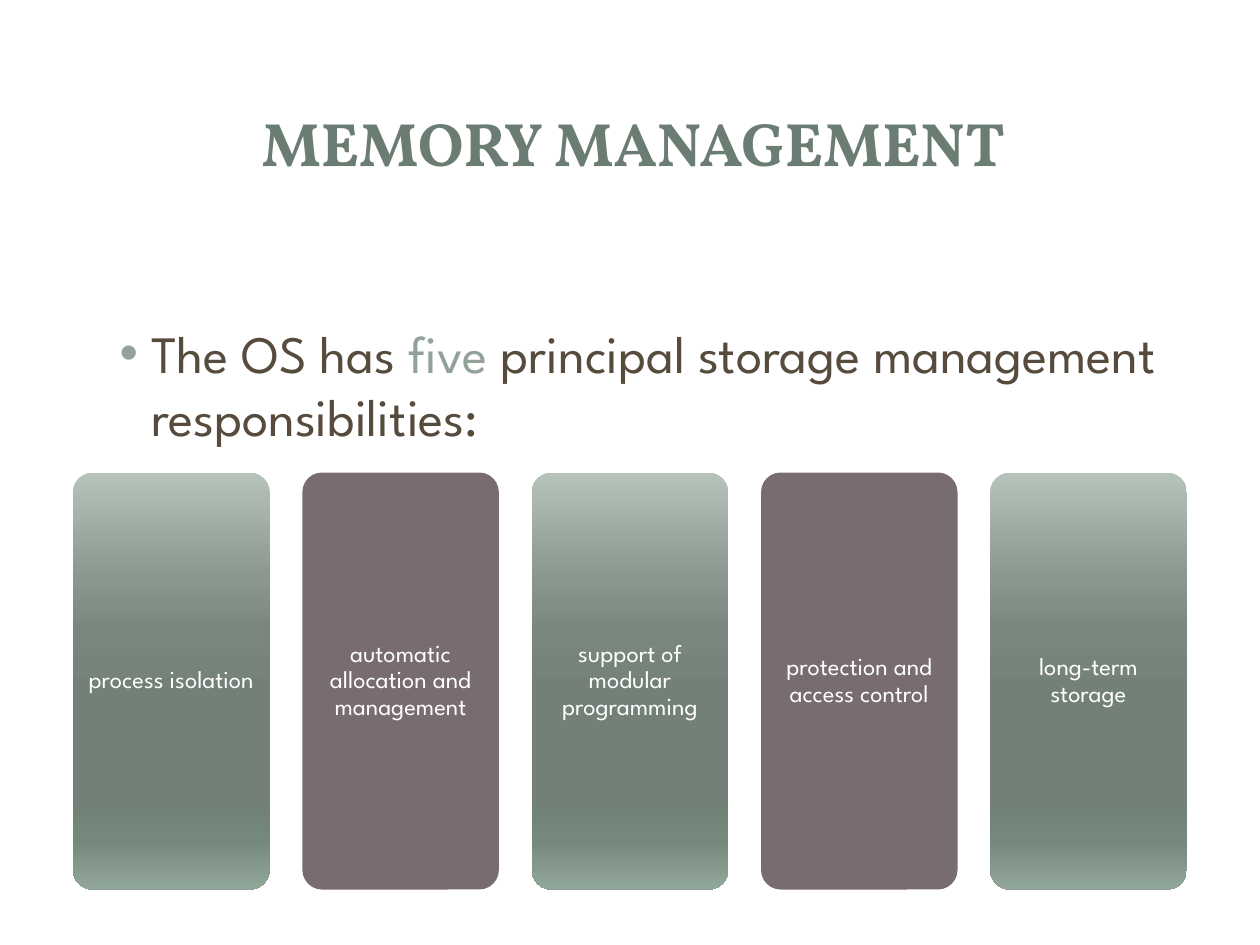
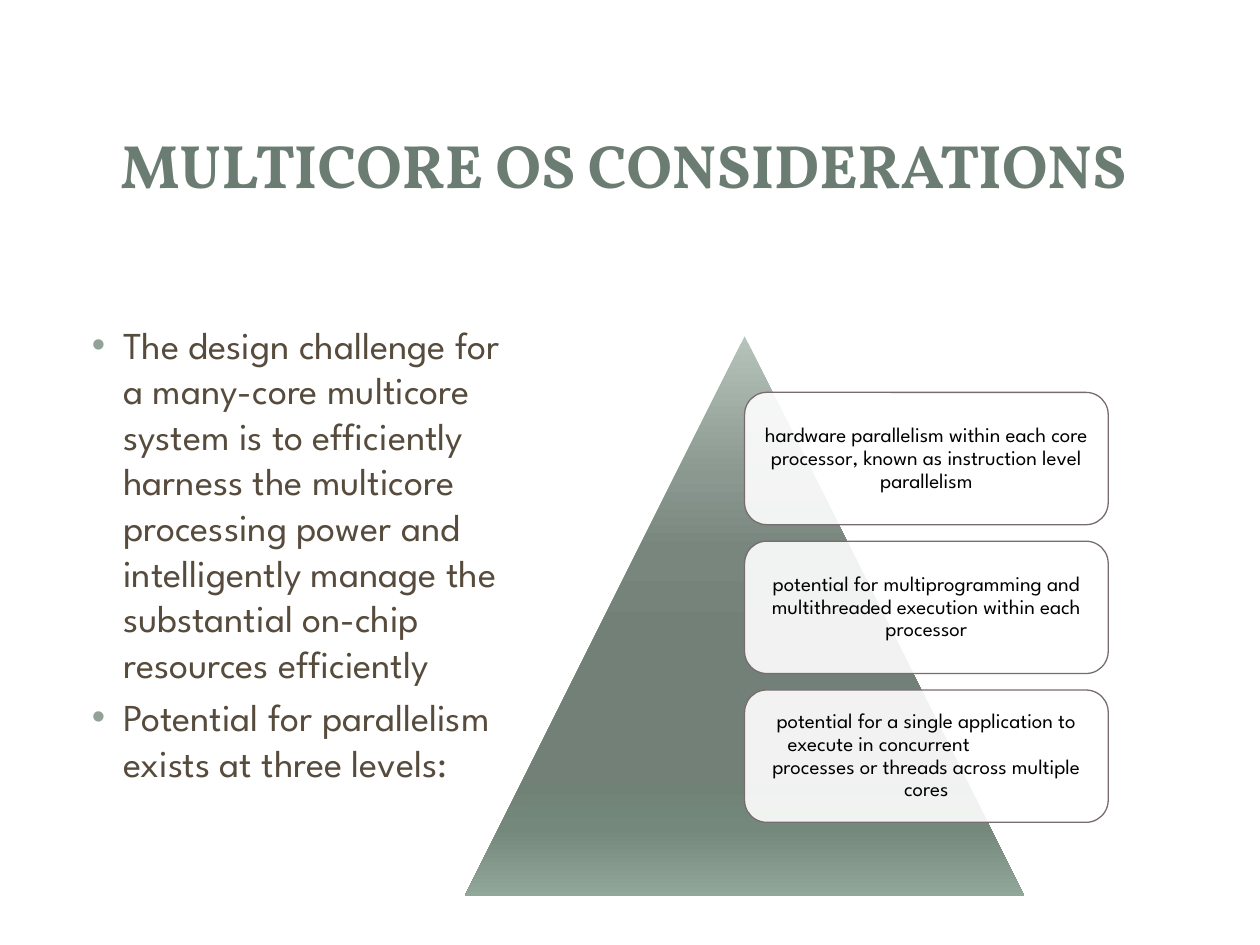
from lxml import etree
from pptx import Presentation
from pptx.dml.color import RGBColor
from pptx.enum.shapes import MSO_SHAPE
from pptx.enum.text import MSO_ANCHOR, PP_ALIGN
from pptx.oxml.ns import qn
from pptx.util import Inches, Pt

ROUNDED, TRIANGLE = MSO_SHAPE.ROUNDED_RECTANGLE, MSO_SHAPE.ISOSCELES_TRIANGLE
TOP, MIDDLE = MSO_ANCHOR.TOP, MSO_ANCHOR.MIDDLE
LEFT, CENTER = PP_ALIGN.LEFT, PP_ALIGN.CENTER

COLORS = {
    "title": "6B7D72", "body": "564B3C", "accent": "93A299",
    "mauve": "786C71", "white": "FFFFFF", "black": "000000",
}
SHEEN = [(0, "B6C3BB"), (25, "8B9890"), (38, "79867E"), (55, "728078"),
         (80, "708176"), (88, "75887C"), (100, "91A79A")]
TITLE_FONT, BODY_FONT = "Vollkorn", "League Spartan"
SLIDE_WIDTH, SLIDE_HEIGHT = 10, 7.5

# A paragraph is a list of (text, colour) spans.
MEMORY = {
    "title": "MEMORY MANAGEMENT",
    "title_at": (0.75, 0.5, 8.56, 1.25),
    "body": [[("The OS has ", "body"), ("five", "accent"),
              (" principal storage management responsibilities:", "body")]],
    "body_at": (0.72, 2.5, 8.61, 4.33),
    "body_size": 30,
}
RESPONSIBILITIES = [
    "process isolation",
    "automatic allocation and management",
    "support of modular programming",
    "protection and access control",
    "long-term storage",
]
MULTICORE = {
    "title": "MULTICORE OS CONSIDERATIONS",
    "title_at": (0.67, 0.58, 8.56, 1.45),
    "body": [
        [("The design challenge for a many-core multicore system is to "
          "efficiently harness the multicore processing power and intelligently "
          "manage the substantial on-chip resources efficiently", "body")],
        [("Potential for parallelism exists at three levels:", "body")],
    ],
    "body_at": (0.5, 2.5, 3.75, 4.58),
    "body_size": 21.7,
}
# Each level holds (line group, left indent); None centres the group.
LEVELS = [
    [("hardware parallelism within each core processor, "
      "known as instruction level parallelism", None)],
    [("potential for multiprogramming and multithreaded "
      "execution within each processor", None)],
    [("potential for a single application to", None),
     ("execute in concurrent", 0.24),
     ("processes or threads across multiple cores", None)],
]


def rgb(name):
    return RGBColor.from_string(COLORS[name])


def write(frame, paragraphs, font=BODY_FONT, size=14, bold=False, align=CENTER,
          anchor=MIDDLE, inset=None, line_spacing=None, space_before=0,
          bullet=None, indents=()):
    """Fill a text frame; indents gives a left margin per paragraph, or None."""
    frame.word_wrap = True
    frame.vertical_anchor = anchor
    if inset is not None:
        frame.margin_left = frame.margin_right = Inches(inset)
        frame.margin_top = frame.margin_bottom = Inches(inset)
    for index, spans in enumerate(paragraphs):
        para = frame.paragraphs[0] if index == 0 else frame.add_paragraph()
        para.alignment = align
        para.space_before = Pt(space_before)
        if line_spacing:
            para.line_spacing = line_spacing
        if bullet:
            add_bullet(para, bullet)
        if indents and indents[index] is not None:
            para.alignment = LEFT
            para._p.get_or_add_pPr().set("marL", str(Inches(indents[index])))
        for text, color in spans:
            span = para.add_run()
            span.text = text
            span.font.name, span.font.size = font, Pt(size)
            span.font.bold = bold
            span.font.color.rgb = rgb(color)


def add_bullet(para, color):
    props = para._p.get_or_add_pPr()
    props.set("marL", str(Inches(0.38)))
    props.set("indent", str(Inches(-0.25)))
    tint = etree.SubElement(props, qn("a:buClr"))
    etree.SubElement(tint, qn("a:srgbClr"), val=COLORS[color])
    etree.SubElement(props, qn("a:buFont"), typeface="Arial")
    etree.SubElement(props, qn("a:buChar"), char="•")


def add_box(page, kind, at, fill=None, line=None, alpha=None):
    """Add a preset shape; without a fill colour it gets the green sheen."""
    box = page.shapes.add_shape(kind, *map(Inches, at))
    box.shadow.inherit = False
    if fill:
        box.fill.solid()
        box.fill.fore_color.rgb = rgb(fill)
    else:
        apply_sheen(box)
    if alpha:
        color = box._element.spPr.find(".//" + qn("a:srgbClr"))
        etree.SubElement(color, qn("a:alpha"), val=str(alpha * 1000))
    if line:
        box.line.color.rgb = rgb(line)
        box.line.width = Pt(0.75)
    else:
        box.line.fill.background()
    return box


def apply_sheen(box):
    box.fill.gradient()
    box.fill.gradient_angle = 270
    stops = box._element.spPr.find(".//" + qn("a:gsLst"))
    for stop in list(stops):
        stops.remove(stop)
    for percent, color in SHEEN:
        stop = etree.SubElement(stops, qn("a:gs"), pos=str(percent * 1000))
        etree.SubElement(stop, qn("a:srgbClr"), val=color)


def add_page(deck, content):
    page = deck.slides.add_slide(deck.slide_layouts[6])
    title = page.shapes.add_textbox(*map(Inches, content["title_at"]))
    write(title.text_frame, [[(content["title"], "title")]],
          font=TITLE_FONT, size=35, bold=True)
    body = page.shapes.add_textbox(*map(Inches, content["body_at"]))
    size = content["body_size"]
    write(body.text_frame, content["body"], size=size, align=LEFT, anchor=TOP,
          space_before=size * 0.2, bullet="accent")
    return page


def add_responsibilities(page):
    left, top, width, height, pitch = 0.58, 3.75, 1.56, 3.31, 1.82
    for column, label in enumerate(RESPONSIBILITIES):
        pillar = add_box(page, ROUNDED, (left + column * pitch, top, width, height),
                         fill="mauve" if column % 2 else None)
        pillar.adjustments[0] = 0.1
        write(pillar.text_frame, [[(label, "white")]], inset=0.06,
              line_spacing=0.9)


def add_pyramid(page):
    left, top, side = 3.69, 2.67, 4.44
    add_box(page, TRIANGLE, (left, top, side, side))
    card_width, card_height = side * 0.65, 1.05
    pitch = card_height * 9 / 8
    for row, level in enumerate(LEVELS):
        card = add_box(page, ROUNDED,
                       (left + side / 2, top + side / 10 + row * pitch,
                        card_width, card_height),
                       fill="white", line="mauve", alpha=90)
        write(card.text_frame, [[(text, "black")] for text, _ in level],
              size=12, inset=0.05, line_spacing=0.9,
              indents=[indent for _, indent in level])


def main():
    deck = Presentation()
    deck.slide_width, deck.slide_height = Inches(SLIDE_WIDTH), Inches(SLIDE_HEIGHT)
    add_responsibilities(add_page(deck, MEMORY))
    add_pyramid(add_page(deck, MULTICORE))
    deck.save("out.pptx")


if __name__ == "__main__":
    main()
